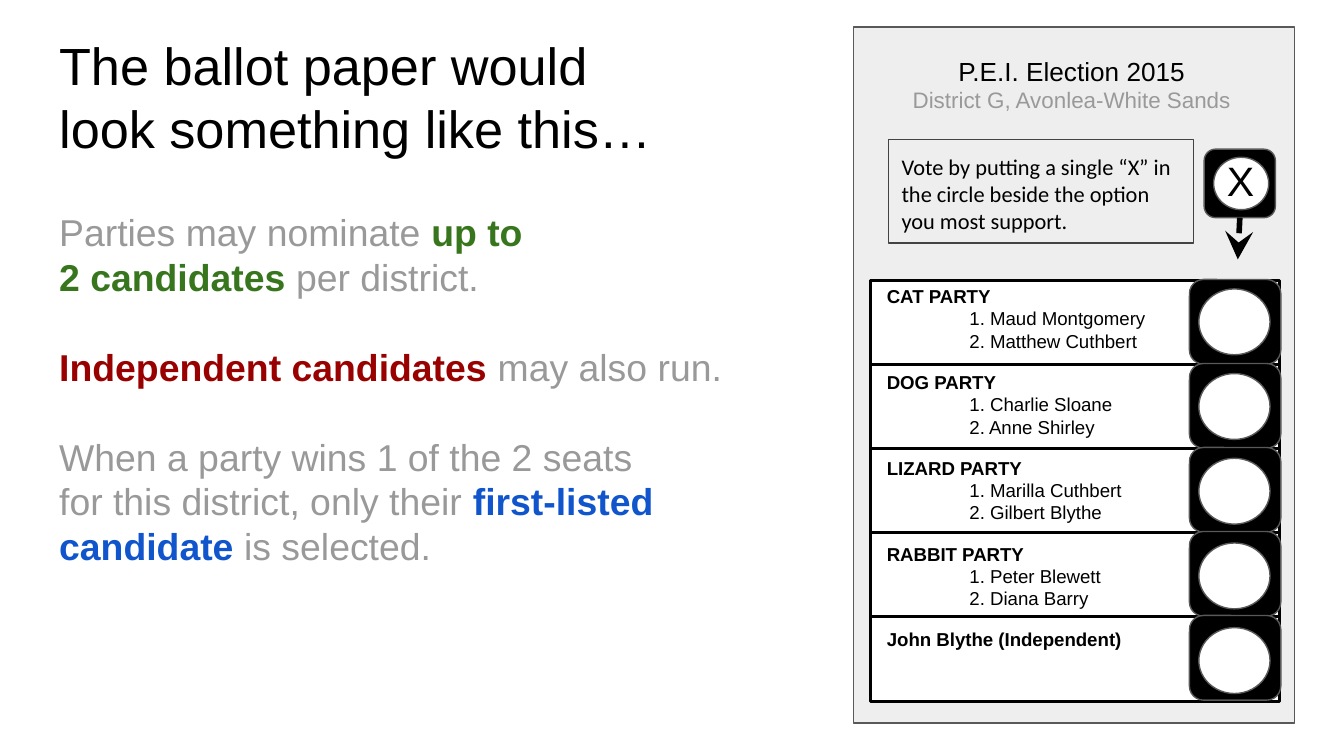
import pptx
import pptx.util
import pptx.dml.color
import pptx.enum.text
import pptx.enum.shapes
import pptx.oxml.ns
import lxml.etree

Pt = pptx.util.Pt
KIND = pptx.enum.shapes.MSO_SHAPE
ALIGN = pptx.enum.text.PP_ALIGN
hue = pptx.dml.color.RGBColor.from_string
qn = pptx.oxml.ns.qn

deck = pptx.Presentation()
deck.slide_width = pptx.util.Inches(10)
deck.slide_height = deck.slide_width * 9 // 16
cell = deck.slide_width // 100
slide = deck.slides.add_slide(deck.slide_layouts[1])


def block(kind, left, top, width, height, fill=None, line="595959", weight=0.75):
    place = [round(cell * units) for units in (left, top, width, height)]
    if kind is None:
        return slide.shapes.add_textbox(*place)
    shape = slide.shapes.add_shape(kind, *place)
    shape.shadow.inherit = False
    if fill:
        shape.fill.solid()
        shape.fill.fore_color.rgb = hue(fill)
    else:
        shape.fill.background()
    shape.line.color.rgb = hue(line)
    shape.line.width = Pt(weight)
    return shape


def write(holder, *runs, size, font="Arial", color="000000", align=ALIGN.LEFT,
          indent=0, before=0, after=0, leading=1.2):
    frame = holder.text_frame
    paragraph = frame.add_paragraph() if frame.text else frame.paragraphs[0]
    frame.word_wrap = True
    frame.auto_size = pptx.enum.text.MSO_AUTO_SIZE.NONE
    frame.vertical_anchor = pptx.enum.text.MSO_ANCHOR.TOP
    frame.margin_left = frame.margin_right = cell
    frame.margin_top = frame.margin_bottom = cell
    properties = paragraph._p.get_or_add_pPr()
    properties.set("marL", str(round(indent * cell)))
    properties.set("indent", "0")
    lxml.etree.SubElement(properties, qn("a:buNone"))
    paragraph.alignment = align
    paragraph.space_before = Pt(before)
    paragraph.space_after = Pt(after)
    if leading:
        paragraph.line_spacing = Pt(size * leading)
    for text, *accent in runs:
        for number, part in enumerate(text.split("\n")):
            if number:
                paragraph.add_line_break()
            run = paragraph.add_run()
            run.text = part
            run.font.name = font
            run.font.size = Pt(size)
            run.font.bold = bool(accent)
            run.font.color.rgb = hue(accent[0] if accent else color)


heading, rules = slide.placeholders
for holder, place in ((heading, (3.4, 1.5, 47, 11.6)), (rules, (3.4, 14.6, 52.4, 37.4))):
    holder.left, holder.top, holder.width, holder.height = [round(cell * units) for units in place]

write(heading, ("The ballot paper would look something like this…",), size=28)
write(rules, ("Parties may nominate ",), ("up to \n2 candidates", "38761D"),
      (" per district.",), size=20, color="999999")
write(rules, ("Independent candidates", "990000"), (" may also run.",),
      size=20, color="999999", before=24)
write(rules, ("When a party wins 1 of the 2 seats \nfor this district, only their ",),
      ("first-listed candidate", "1155CC"), (" is selected.",),
      size=20, color="999999", before=24)

block(KIND.RECTANGLE, 63.5, 2, 32.8, 51.8, "EEEEEE")

ballot = [
    ("CAT PARTY", ["Maud Montgomery", "Matthew Cuthbert"]),
    ("DOG PARTY", ["Charlie Sloane", "Anne Shirley"]),
    ("LIZARD PARTY", ["Marilla Cuthbert", "Gilbert Blythe"]),
    ("RABBIT PARTY", ["Peter Blewett", "Diana Barry"]),
    ("John Blythe (Independent)", []),
]
pitch = 6.25
for row in range(len(ballot)):
    block(KIND.RECTANGLE, 64.8, 20.9 + row * pitch, 30.4, 6.3, "FFFFFF", "000000", 1.5)

options = block(None, 65, 20.2, 23.2, 29.1)
for party, candidates in ballot:
    write(options, (party, "000000"), size=10, after=0 if candidates else 10)
    for rank, candidate in enumerate(candidates, 1):
        write(options, (f"{rank}. {candidate}",), size=10, indent=6.15,
              after=10 if rank == len(candidates) else 0)

for row in range(len(ballot)):
    block(KIND.ROUNDED_RECTANGLE, 88.5, 20.8 + row * pitch, 6.8, 6.3, "000000")
for row in range(len(ballot)):
    block(KIND.OVAL, 89.2, 21.5 + row * 6.3, 5.3, 4.9, "FFFFFF")

instruction = block(KIND.RECTANGLE, 66.1, 10.4, 22.7, 7.7, line="434343")
write(instruction, ("Vote by putting a single “X” in the circle beside the option you most support.",),
      size=12, font="Calibri", leading=None)

sample = block(KIND.ROUNDED_RECTANGLE, 89.6, 11.1, 5.3, 5.1, "000000")
block(KIND.OVAL, 90.3, 11.7, 4.1, 3.9, "FFFFFF")
write(block(None, 90.3, 10.6, 3.2, 2.9), ("X",), size=22)

pointer = slide.shapes.add_connector(
    pptx.enum.shapes.MSO_CONNECTOR.STRAIGHT,
    *[round(cell * units) for units in (92.2, 16.2, 92.1, 19.3)])
pointer.begin_connect(sample, 2)
pointer.line.color.rgb = hue("000000")
pointer.line.width = Pt(3)
lxml.etree.SubElement(pointer.line._get_or_add_ln(), qn("a:tailEnd"),
                      type="stealth", w="lg", len="lg")
lxml.etree.SubElement(pointer._element.spPr, qn("a:effectLst"))

election = block(None, 65.6, 3.1, 28.3, 6.9)
write(election, ("P.E.I. Election 2015",), size=14, align=ALIGN.CENTER)
write(election, ("District G, Avonlea-White Sands",), size=12, color="999999", align=ALIGN.CENTER)

deck.save("out.pptx")
